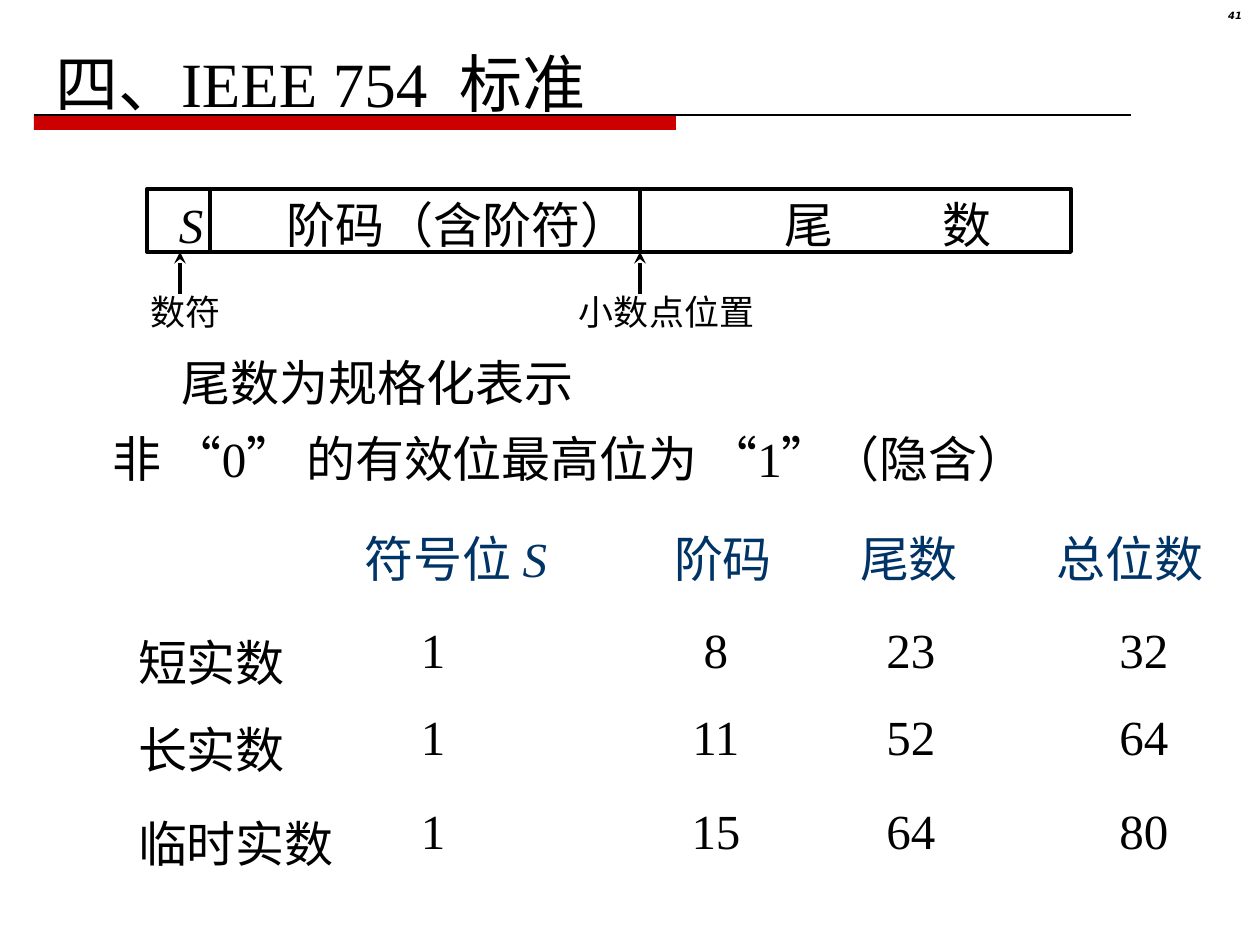
from dataclasses import dataclass
from itertools import pairwise

from lxml import etree
from pptx import Presentation
from pptx.dml.color import RGBColor
from pptx.enum.shapes import MSO_CONNECTOR, MSO_SHAPE
from pptx.enum.text import MSO_ANCHOR, MSO_AUTO_SIZE, PP_ALIGN
from pptx.oxml.ns import qn
from pptx.util import Pt

STRAIGHT = MSO_CONNECTOR.STRAIGHT
RECT = MSO_SHAPE.RECTANGLE
TOP = MSO_ANCHOR.TOP
NONE = MSO_AUTO_SIZE.NONE
LEFT, CENTER, RIGHT = PP_ALIGN.LEFT, PP_ALIGN.CENTER, PP_ALIGN.RIGHT
SCALE = 914400 // 126


@dataclass(frozen=True)
class Theme:
    ink: str = "000000"
    navy: str = "003366"
    red: str = "CC0000"
    face: str = "Times New Roman"
    mark: str = "DejaVu Sans"
    title: float = 36
    body: float = 28
    note: float = 20
    page: float = 5.7
    thin: float = 0.75
    bold: float = 2.25


THEME = Theme()


def px(num):
    return num * SCALE


def rgb(code):
    return RGBColor.from_string(code)


def apply(item, form):
    for name, value in form.items():
        setattr(item, name, value)


def write(frame, runs, size=THEME.body, color=THEME.ink, align=LEFT, **form):
    para = frame.paragraphs[0]
    para.alignment = align
    look = {"size": Pt(size), "name": THEME.face, "bold": False, "italic": False}
    for part in [runs] if isinstance(runs, str) else runs:
        text, slant = (part, False) if isinstance(part, str) else part
        run = para.add_run()
        run.text = text
        apply(run.font, {**look, "italic": slant, **form})
        run.font.color.rgb = rgb(color)
    return para


def set_frame(frame, wrap):
    apply(frame, {
        "word_wrap": wrap, "auto_size": NONE, "vertical_anchor": TOP,
        "margin_left": px(13), "margin_right": px(13),
        "margin_top": px(6), "margin_bottom": px(6),
    })


def add_text(slide, spot, runs, wrap=False, **form):
    box = slide.shapes.add_textbox(*map(px, spot))
    set_frame(box.text_frame, wrap)
    return write(box.text_frame, runs, **form)


def add_tabs(para, stops):
    tabs = etree.SubElement(para._p.get_or_add_pPr(), qn("a:tabLst"))
    for stop in stops:
        etree.SubElement(tabs, qn("a:tab"), pos=str(px(stop)), algn="l")


def add_title(slide, spot, text):
    title = slide.shapes.title
    apply(title, dict(zip(("left", "top", "width", "height"), map(px, spot))))
    set_frame(title.text_frame, True)
    write(title.text_frame, text, size=THEME.title)


def add_rect(slide, spot, fill=None, line=None):
    rect = slide.shapes.add_shape(RECT, *map(px, spot))
    rect.shadow.inherit = False
    if fill:
        rect.fill.solid()
        rect.fill.fore_color.rgb = rgb(fill)
    else:
        rect.fill.background()
    if line:
        rect.line.color.rgb = rgb(line)
        rect.line.width = Pt(THEME.bold)
    else:
        rect.line.fill.background()


def add_line(slide, ends, width=THEME.bold, arrow=False):
    line = slide.shapes.add_connector(STRAIGHT, *map(px, ends))
    line.line.color.rgb = rgb(THEME.ink)
    line.line.width = Pt(width)
    if arrow:
        etree.SubElement(line.line._get_or_add_ln(), qn("a:tailEnd"), type="stealth")
    etree.SubElement(line._element.spPr, qn("a:effectLst"))


def add_grid(slide, top, edges, highs, rows, mids):
    spot = (edges[0], top, edges[-1] - edges[0], sum(highs))
    table = slide.shapes.add_table(len(rows), len(edges) - 1, *map(px, spot)).table
    apply(table, {"first_row": False, "horz_banding": False})
    spans = list(pairwise(edges))
    for col, (left, right) in zip(table.columns, spans):
        col.width = px(right - left)
    for i, (row, high) in enumerate(zip(rows, highs)):
        table.rows[i].height = px(high)
        for j, (runs, (left, right)) in enumerate(zip(row, spans)):
            cell = table.cell(i, j)
            cell.fill.background()
            shift = 2 * mids[min(i, 1)][j - 1] - left - right if j else 0
            apply(cell, {
                "margin_left": px(max(0, shift) if j else 13),
                "margin_right": px(max(0, -shift)),
                "margin_top": px(6), "margin_bottom": 0,
                "vertical_anchor": TOP,
            })
            if runs:
                write(cell.text_frame, runs, color=THEME.ink if i else THEME.navy,
                      align=CENTER if j else LEFT)


def add_format(slide):
    left, top, wide, high = 147, 189, 924, 63
    base, split = top + high, 640
    para = add_text(slide, (166, 188, 838, 72),
                    [("S", True), "\t阶码（含阶符）\t尾\t数"])
    add_tabs(para, (108, 606, 764))
    add_rect(slide, (left, top, wide, high), line=THEME.ink)
    for x in (210, split):
        add_line(slide, (x, top, x, base))
    for x, spot, text in (
        (180, (137, 284, 95, 55), "数符"),
        (split, (566, 284, 200, 55), "小数点位置"),
    ):
        add_text(slide, spot, text, size=THEME.note)
        add_line(slide, (x, base + 42, x, base), arrow=True)


def main():
    deck = Presentation()
    apply(deck, {"slide_width": px(1260), "slide_height": px(945)})
    slide = deck.slides.add_slide(deck.slide_layouts[5])
    add_rect(slide, (34, 115, 642, 15), fill=THEME.red)
    add_line(slide, (34, 115, 1131, 115), width=THEME.thin)
    page = add_text(slide, (1181, 6, 74, 29), "41", wrap=True, size=THEME.page,
                    align=RIGHT, name=THEME.mark, bold=True, italic=True)
    page.line_spacing = 0.8
    add_title(slide, (42, 38, 662, 88), "四、IEEE 754  标准")
    add_format(slide)
    add_text(slide, (169, 346, 416, 72), "尾数为规格化表示")
    add_text(slide, (100, 422, 985, 72), "非 “0” 的有效位最高位为 “1”（隐含）")
    add_grid(
        slide, 515, (125, 340, 630, 816, 1006, 1254), (104, 87, 94, 72),
        (
            ("", ["符号位 ", ("S", True)], "阶码", "尾数", "总位数"),
            ("短实数", "1", "8", "23", "32"),
            ("长实数", "1", "11", "52", "64"),
            ("临时实数", "1", "15", "64", "80"),
        ),
        ((456, 723, 909, 1130), (433, 716, 911, 1144)),
    )
    deck.save("out.pptx")


if __name__ == "__main__":
    main()
